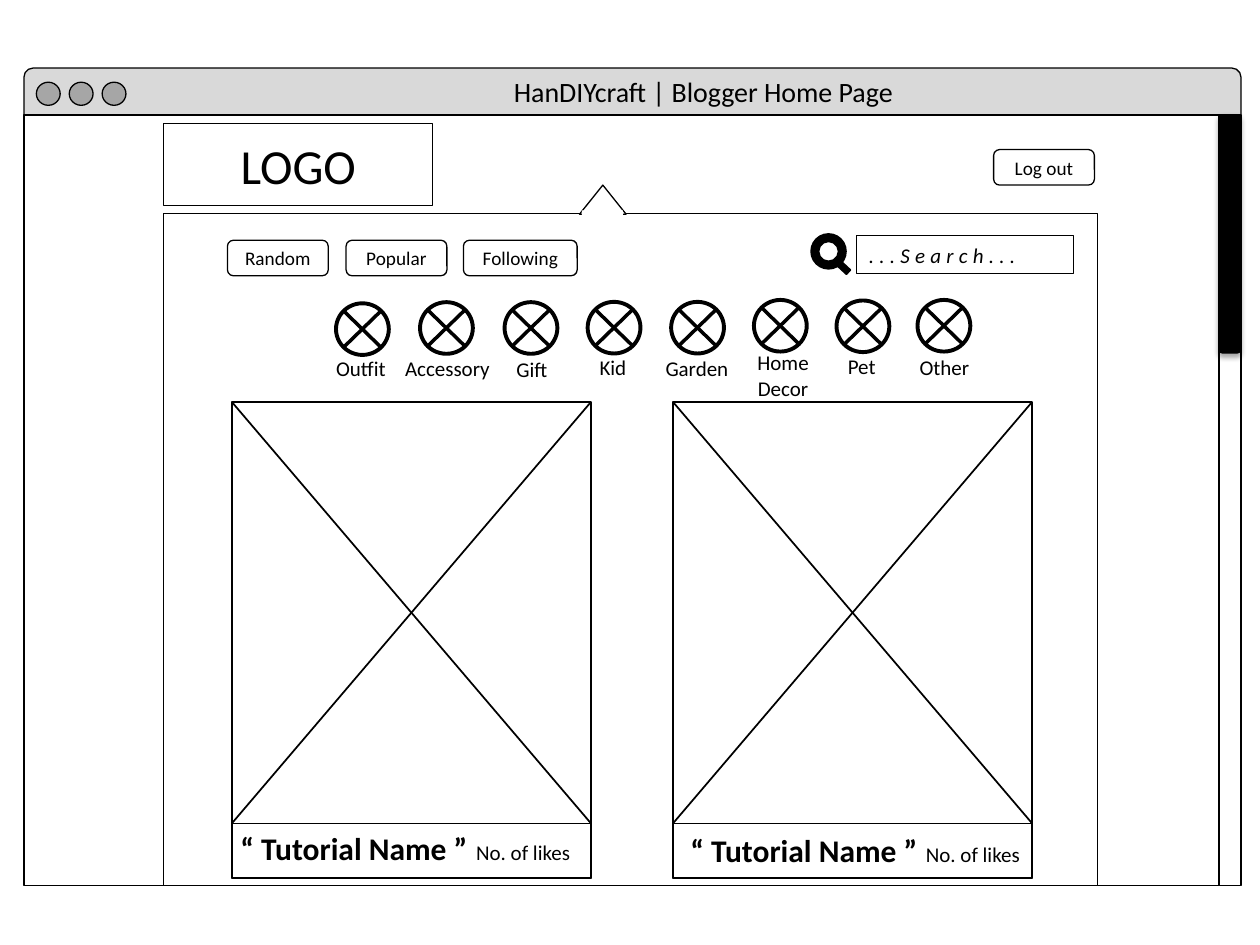
from lxml import etree
from pptx import Presentation
from pptx.dml.color import RGBColor
from pptx.enum import shapes, text
from pptx.oxml import parse_xml
from pptx.oxml.ns import nsdecls, qn
from pptx.util import Pt

BLACK = RGBColor(0, 0, 0)
WHITE = RGBColor(255, 255, 255)
LIGHT = RGBColor(0xD9, 0xD9, 0xD9)
GREY = RGBColor(0xA6, 0xA6, 0xA6)
KIND = shapes.MSO_SHAPE
LEFT, MID = text.PP_ALIGN.LEFT, text.PP_ALIGN.CENTER

deck = Presentation()
deck.slide_width, deck.slide_height = Pt(720), Pt(540)
slide = deck.slides.add_slide(deck.slide_layouts[5])


def box(kind, x, y, w, h, fill=None, line=0.75):
    item = slide.shapes.add_shape(kind, Pt(x), Pt(y), Pt(w), Pt(h))
    item.shadow.inherit = False
    if fill is None:
        item.fill.background()
    else:
        item.fill.solid()
        item.fill.fore_color.rgb = fill
    if line:
        item.line.color.rgb = BLACK
        item.line.width = Pt(line)
    else:
        item.line.fill.background()
    return item


def write(item, words, size, align=LEFT, wrap=False):
    frame = item.text_frame
    frame.word_wrap = wrap
    frame.text = words
    for par in frame.paragraphs:
        par.alignment = align
        par.font.name = "Calibri"
        par.font.size = Pt(size)
        par.font.color.rgb = BLACK
    return frame


# Browser window
box(KIND.ROUNDED_RECTANGLE, 13.7, 38.9, 695.5, 31.7, LIGHT)
box(KIND.RECTANGLE, 13.7, 65.7, 695.5, 440.4, WHITE)
for i in range(3):
    box(KIND.OVAL, 20.8 + 18.8 * i, 47, 13.6, 13.2, GREY)

# Window title
title = slide.shapes.title
title.left, title.top, title.width, title.height = Pt(286.4), Pt(38.9), Pt(235.4), Pt(26.6)
frame = write(title, "HanDIYcraft | Blogger Home Page", 16, wrap=True)
frame.vertical_anchor = text.MSO_ANCHOR.TOP
frame.auto_size = text.MSO_AUTO_SIZE.NONE
tree = title.element.getparent()
tree.append(title.element)

# Page panel and scroll bar
box(KIND.RECTANGLE, 93.6, 122, 533.5, 384.1, WHITE)
box(KIND.RECTANGLE, 696.5, 65.7, 12.5, 440.4, WHITE)
thumb = box(KIND.ROUNDED_RECTANGLE, 696.5, 65.7, 12.5, 136, BLACK)
glow = thumb.element.spPr.find(qn("a:effectLst"))
glow.append(parse_xml(
    f'<a:outerShdw {nsdecls("a")} blurRad="39400" dist="22900" dir="5400000" rotWithShape="0">'
    '<a:srgbClr val="000000"><a:alpha val="35000"/></a:srgbClr></a:outerShdw>'))

# Logo box
logo = box(KIND.RECTANGLE, 93.6, 70.6, 153.6, 46.8, WHITE)
write(logo, "LOGO", 28, MID, True)

# Search field with its magnifier
box(KIND.ROUNDED_RECTANGLE, 488.2, 136.1, 126, 27.4, WHITE, 0)
field = box(KIND.RECTANGLE, 489.4, 134.8, 123.9, 21.6)
frame = write(field, "...Search...", 12, wrap=True)
frame.vertical_anchor = text.MSO_ANCHOR.TOP
frame.paragraphs[0].font.italic = True
frame.paragraphs[0].runs[0].font._element.set("spc", "300")
box(KIND.DONUT, 463, 133.2, 20.9, 20.9, BLACK, 0)
grip = box(KIND.ROUNDED_RECTANGLE, 475.2, 149.8, 11.5, 4.3, BLACK, 0)
grip.rotation = 43.1

# Buttons
for words, x, y, w in (("Random", 130, 137.3, 57.6), ("Popular", 197.8, 137.3, 57.6),
                       ("Following", 264.8, 137.3, 65), ("Log out", 567.8, 85.5, 57.6)):
    button = box(KIND.ROUNDED_RECTANGLE, x, y, w, 20.3)
    write(button, words, 11, MID, True)

# Tutorial cards
marks, notes = [], []
for x, name, likes, drop in ((132.5, 130.3, 265, 0), (384.6, 387.4, 522, 1.2)):
    box(KIND.RECTANGLE, x, 229.7, 205.2, 272, WHITE)
    box(KIND.RECTANGLE, x, 470.5, 205.2, 31.2, WHITE)
    marks.append((x, 229.7, 205.2, 240.8, 1))
    notes.append(("“ Tutorial Name ”", name, 470.2 + drop, 146.9, 28.8, 18))
    notes.append(("No. of likes", likes, 476 + drop, 69.1, 21.6, 12))

# Categories: name, icon left and top, label left, top and width
for words, x, y, left, top, w in (
        ("Outfit", 192, 173.3, 185, 199.7, 43.2),
        ("Accessory", 240, 172.7, 224.4, 199.7, 64.1),
        ("Gift", 288.3, 172.7, 288, 200.2, 32.4),
        ("Kid", 335.8, 172.5, 335.5, 199, 30.2),
        ("Garden", 383.5, 172.5, 373.2, 199.6, 51.1),
        ("Home\nDecor", 430.8, 171.4, 425.5, 196.4, 43.9),
        ("Pet", 478, 171.7, 477.4, 198.6, 31),
        ("Other", 524.3, 171.4, 518.4, 199.2, 43.2)):
    box(KIND.OVAL, x, y, 30.2, 29.5, line=2.25)
    marks.append((x + 4.4, y + 4.4, 21.3, 20.7, 2))
    notes.append((words, left, top, w, 36 if "\n" in words else 21.6, 12))

# Crosses in cards and icons
for x, y, w, h, thick in marks:
    for start, end in ((y, y + h), (y + h, y)):
        line = slide.shapes.add_connector(
            shapes.MSO_CONNECTOR.STRAIGHT, Pt(x), Pt(start), Pt(x + w), Pt(end))
        line.line.color.rgb = BLACK
        line.line.width = Pt(thick)
        etree.SubElement(line.element.spPr, qn("a:effectLst"))

# Captions
for words, x, y, w, h, size in notes:
    note = slide.shapes.add_textbox(Pt(x), Pt(y), Pt(w), Pt(h))
    frame = write(note, words, size, MID if "\n" in words else LEFT)
    frame.auto_size = text.MSO_AUTO_SIZE.SHAPE_TO_FIT_TEXT
    if size == 18:
        frame.paragraphs[0].font.bold = True

# Pointer on the panel's top edge
box(KIND.ISOSCELES_TRIANGLE, 331.2, 105.8, 26.6, 16.6, WHITE)
box(KIND.RECTANGLE, 332.6, 120.2, 23.4, 5.8, WHITE, 0)

deck.save("out.pptx")
